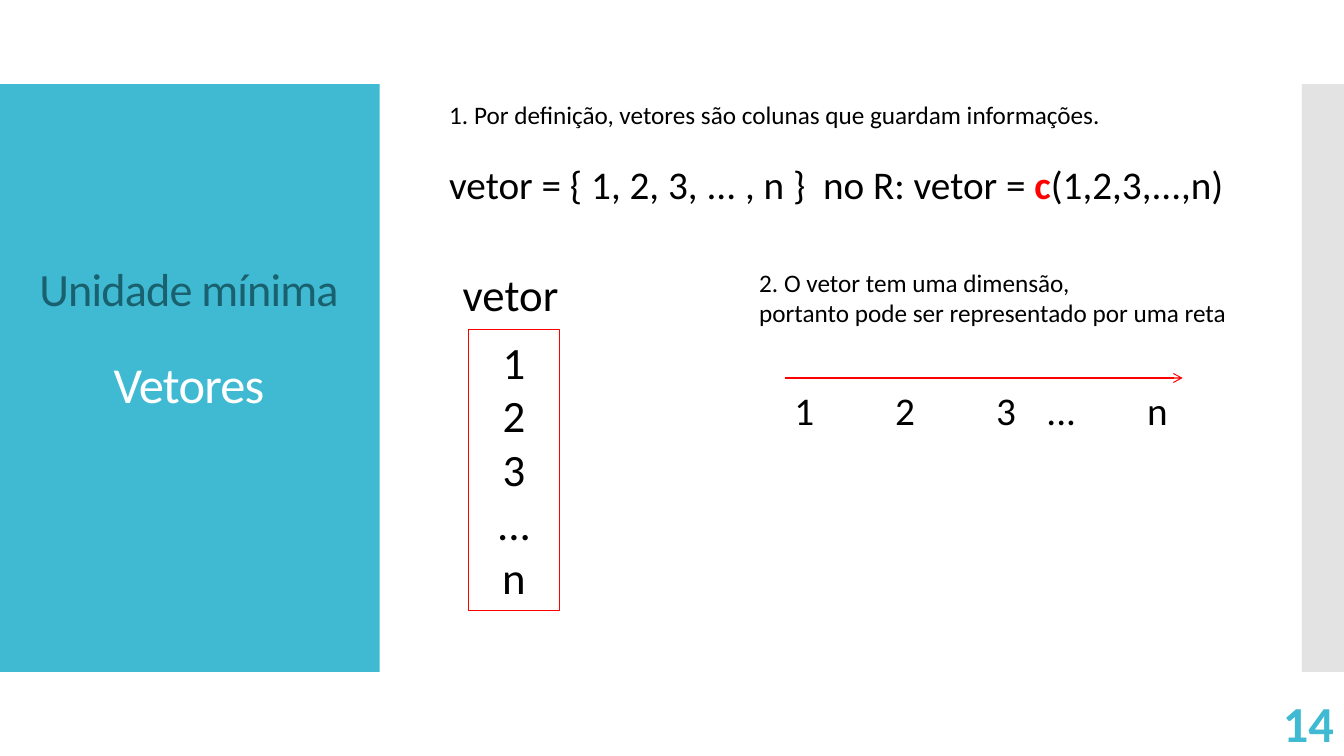
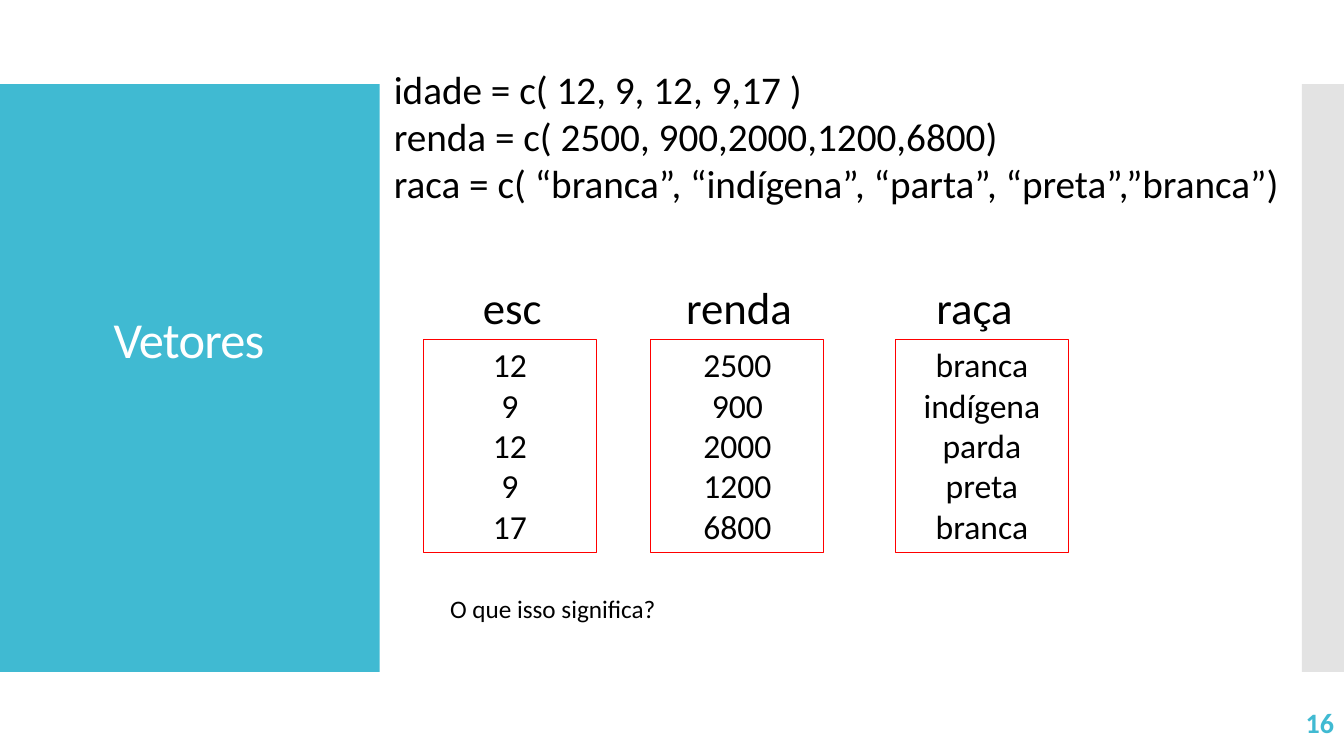
"""Build two slides that introduce vectors in R."""
from dataclasses import dataclass

from lxml.etree import SubElement
from pptx import Presentation
from pptx.dml.color import RGBColor
from pptx.enum.shapes import MSO_CONNECTOR, MSO_SHAPE
from pptx.enum.text import MSO_ANCHOR, MSO_AUTO_SIZE, PP_ALIGN
from pptx.oxml.ns import qn
from pptx.presentation import Presentation as Deck
from pptx.shapes.autoshape import Shape
from pptx.slide import Slide
from pptx.text.text import TextFrame
from pptx.util import Emu, Inches, Pt

TEAL = RGBColor(0x40, 0xBA, 0xD2)
DARK_TEAL = RGBColor(0x1A, 0x61, 0x6F)
GREY = RGBColor(0xE3, 0xE3, 0xE3)
RED = RGBColor(0xFF, 0x00, 0x00)
BLACK = RGBColor(0x00, 0x00, 0x00)
WHITE = RGBColor(0xFF, 0xFF, 0xFF)

FONT = "Calibri"
COLUMNS, ROWS = 160, 90
UNIT = Inches(1 / 12)
SMALL, LIST, CODE, LARGE, TITLE = 18, 24, 28, 32, 36


@dataclass(frozen=True)
class Area:
    """A rectangle in grid columns and rows."""

    left: float
    top: float
    width: float
    height: float

    def emu(self) -> tuple[Emu, Emu, Emu, Emu]:
        """Return the rectangle as slide lengths."""
        return grid(self.left), grid(self.top), grid(self.width), grid(self.height)


@dataclass(frozen=True)
class Span:
    """A piece of text that may be highlighted."""

    text: str
    highlighted: bool = False


@dataclass(frozen=True)
class Para:
    """A paragraph and its look; tabs are in grid columns."""

    spans: tuple[Span, ...]
    size: float
    color: RGBColor = BLACK
    bold: bool = False
    align: PP_ALIGN = PP_ALIGN.LEFT
    line_spacing: float | None = None
    space_before: float = 0
    tracking: float = 0
    tabs: tuple[float, ...] = ()


@dataclass(frozen=True)
class Vector:
    """A named column of values in a frame."""

    name: str
    name_area: Area
    frame: Area
    values: tuple[str, ...]
    size: float


TITLE_AREA = Area(0, 31.2, 45, 19)
NUMBER_AREA = Area(140, 83.6, 20, 4.8)
BANDS = ((Area(0, 10, 45.2, 70), TEAL), (Area(155, 10, 5, 70), GREY))

NUMBERS = Vector("vetor", Area(53.9, 31.2, 14.8, 7.7), Area(55.8, 39.2, 10.8, 33.5),
                 ("1", "2", "3", "...", "n"), LARGE)


def survey_vector(name: str, name_left: float, left: float, *values: str) -> Vector:
    """Describe one of the survey vectors, which share their rows and frame size."""
    return Vector(name, Area(name_left, 32.7, 16.8, 7.7), Area(left, 40.4, 20.6, 25.4), values, LIST)


SURVEY = (
    survey_vector("esc", 56.3, 50.4, "12", "9", "12", "9", "17"),
    survey_vector("renda", 80.5, 77.5, "2500", "900", "2000", "1200", "6800"),
    survey_vector("raça", 110.3, 106.6, "branca", "indígena", "parda", "preta", "branca"),
)


def grid(units: float) -> Emu:
    """Convert grid units to a slide length."""
    return Emu(round(units * UNIT))


def plain(text: str, size: float, **look) -> Para:
    """Make a paragraph of one span."""
    return Para((Span(text),), size, **look)


def title_line(text: str, size: float, color: RGBColor, spacing: float, before: float = 0) -> Para:
    """Make a line of the title."""
    return plain(text, size, color=color, align=PP_ALIGN.CENTER, line_spacing=spacing,
                 space_before=before, tracking=-0.6)


def write(frame: TextFrame, paras: list[Para]) -> None:
    """Fill a text frame with paragraphs."""
    for index, para in enumerate(paras):
        paragraph = frame.add_paragraph() if index else frame.paragraphs[0]
        paragraph.alignment = para.align
        paragraph.space_before = Pt(para.space_before)
        if para.line_spacing:
            paragraph.line_spacing = para.line_spacing
        font = paragraph.font
        font.name, font.size, font.bold = FONT, Pt(para.size), para.bold
        font.color.rgb = para.color
        properties = paragraph._p.get_or_add_pPr()
        defaults = properties.find(qn("a:defRPr"))
        if para.tracking:
            defaults.set("spc", str(round(para.tracking * 100)))
        if para.tabs:
            stops = SubElement(properties, qn("a:tabLst"))
            for tab in para.tabs:
                SubElement(stops, qn("a:tab"), pos=str(grid(tab)), algn="l")
            defaults.addprevious(stops)
        for span in para.spans:
            run = paragraph.add_run()
            run.text = span.text
            if span.highlighted:
                run.font.bold = True
                run.font.color.rgb = RED


def add_text(page: Slide, area: Area, paras: list[Para], wrap: bool = False, centred: bool = False) -> None:
    """Place a text box, either growing from the top or vertically centred."""
    frame = page.shapes.add_textbox(*area.emu()).text_frame
    frame.word_wrap = wrap
    frame.auto_size = MSO_AUTO_SIZE.NONE if centred else MSO_AUTO_SIZE.SHAPE_TO_FIT_TEXT
    frame.vertical_anchor = MSO_ANCHOR.MIDDLE if centred else MSO_ANCHOR.TOP
    write(frame, paras)


def add_rectangle(page: Slide, area: Area) -> Shape:
    """Place a rectangle without a shadow."""
    shape = page.shapes.add_shape(MSO_SHAPE.RECTANGLE, *area.emu())
    shape.shadow.inherit = False
    return shape


def add_vector(page: Slide, vector: Vector) -> None:
    """Draw a vector's name above its framed values."""
    add_text(page, vector.name_area, [plain(vector.name, LARGE)], wrap=True)
    shape = add_rectangle(page, vector.frame)
    shape.fill.background()
    shape.line.color.rgb = RED
    shape.line.width = Pt(0.75)
    frame = shape.text_frame
    frame.word_wrap = True
    frame.auto_size = MSO_AUTO_SIZE.SHAPE_TO_FIT_TEXT
    frame.vertical_anchor = MSO_ANCHOR.TOP
    write(frame, [plain(value, vector.size, align=PP_ALIGN.CENTER) for value in vector.values])


def add_arrow(page: Slide, left: float, right: float, row: float) -> None:
    """Draw a horizontal red arrow."""
    arrow = page.shapes.add_connector(MSO_CONNECTOR.STRAIGHT, grid(left), grid(row), grid(right), grid(row))
    arrow.line.color.rgb = RED
    arrow.line.width = Pt(0.75)
    SubElement(arrow.line._get_or_add_ln(), qn("a:tailEnd"), type="arrow")
    SubElement(arrow._element.spPr, qn("a:effectLst"))


def add_page(deck: Deck, title: list[Para], number: str, number_size: float) -> Slide:
    """Add a page with its bands, title and number."""
    page = deck.slides.add_slide(deck.slide_layouts[6])
    for area, color in BANDS:
        band = add_rectangle(page, area)
        band.fill.solid()
        band.fill.fore_color.rgb = color
        band.line.fill.background()
    add_text(page, TITLE_AREA, title, wrap=True, centred=True)
    number_para = plain(number, number_size, color=TEAL, bold=True, align=PP_ALIGN.RIGHT)
    add_text(page, NUMBER_AREA, [number_para], wrap=True, centred=True)
    return page


def build_definition(deck: Deck) -> None:
    """Build the page that defines a vector."""
    title = [title_line("Unidade mínima", 33, DARK_TEAL, 0.8),
             title_line("Vetores", TITLE, WHITE, 0.8, before=35)]
    page = add_page(deck, title, "14", 36)
    formula = (Span("vetor = { 1, 2, 3, ... , n }  no R: vetor = "), Span("c", True), Span("(1,2,3,...,n)"))
    add_text(page, Area(52.3, 11.2, 95.2, 14.2), [
        plain("1. Por definição, vetores são colunas que guardam informações.", SMALL),
        Para(formula, CODE, space_before=22),
    ])
    add_vector(page, NUMBERS)
    add_arrow(page, 93.4, 140.8, 45)
    add_text(page, Area(93.4, 45.4, 47.3, 6.8), [plain("1\t2\t3\t...\tn", CODE, tabs=(12, 24, 30, 42))])
    add_text(page, Area(89.2, 31.2, 58.9, 8.5), [
        plain("2. O vetor tem uma dimensão,", SMALL),
        plain("portanto pode ser representado por uma reta", SMALL),
    ])


def build_survey(deck: Deck) -> None:
    """Build the page that shows three survey vectors."""
    page = add_page(deck, [title_line("Vetores", TITLE, WHITE, 0.9)], "16", 20)
    code = ("idade = c( 12, 9, 12, 9,17 )",
            "renda = c( 2500, 900,2000,1200,6800)",
            "raca = c( “branca”, “indígena”, “parta”, “preta”,”branca”)")
    add_text(page, Area(45.7, 7.2, 111.1, 18.1), [plain(line, CODE) for line in code])
    for vector in SURVEY:
        add_vector(page, vector)
    add_text(page, Area(52.4, 70.1, 28.1, 4.8), [plain("O que isso significa?", SMALL)])


def main() -> None:
    """Build and save the deck."""
    deck = Presentation()
    deck.slide_width, deck.slide_height = grid(COLUMNS), grid(ROWS)
    build_definition(deck)
    build_survey(deck)
    deck.save("out.pptx")


if __name__ == "__main__":
    main()
